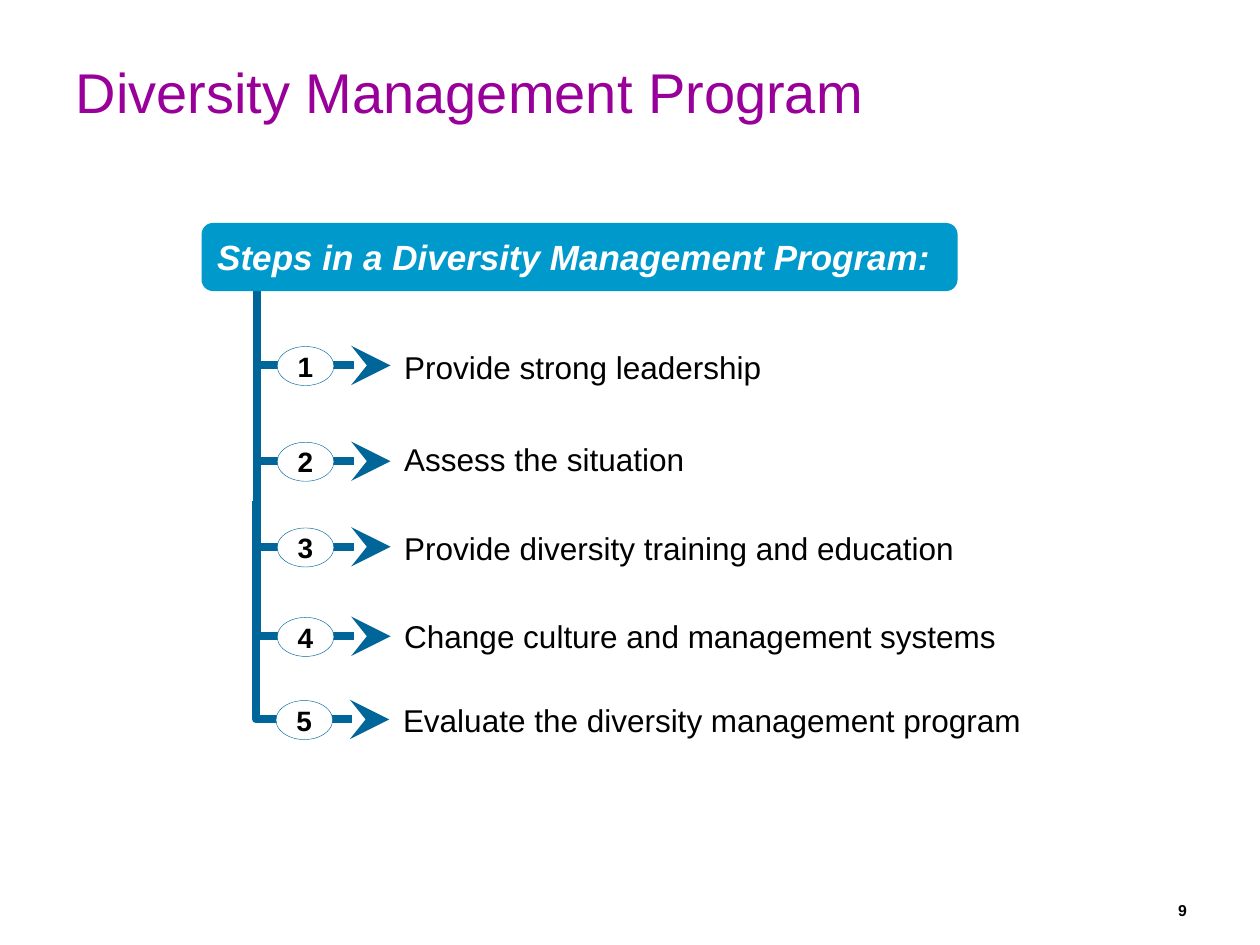
from dataclasses import dataclass

from lxml import etree
from pptx import Presentation
from pptx.dml.color import RGBColor
from pptx.enum.shapes import MSO_SHAPE
from pptx.enum.text import MSO_ANCHOR, PP_ALIGN
from pptx.oxml.ns import qn
from pptx.util import Inches, Pt

OVAL = MSO_SHAPE.OVAL
ROUNDED = MSO_SHAPE.ROUNDED_RECTANGLE
TOP, MIDDLE, BOTTOM = MSO_ANCHOR.TOP, MSO_ANCHOR.MIDDLE, MSO_ANCHOR.BOTTOM
LEFT, CENTER, RIGHT = PP_ALIGN.LEFT, PP_ALIGN.CENTER, PP_ALIGN.RIGHT


@dataclass(frozen=True)
class Theme:
    font: str = "Arial"
    purple: RGBColor = RGBColor(0x99, 0x00, 0x99)
    navy: RGBColor = RGBColor(0x00, 0x66, 0x99)
    sky: RGBColor = RGBColor(0x00, 0x99, 0xCC)
    white: RGBColor = RGBColor(0xFF, 0xFF, 0xFF)
    black: RGBColor = RGBColor(0x00, 0x00, 0x00)
    title_size: int = 32
    banner_size: int = 20
    step_size: int = 18
    number_size: int = 16
    page_size: int = 9


theme = Theme()


def write(shape, text, size, color, align=LEFT, anchor=MIDDLE, bold=False, italic=False, wrap=True):
    frame = shape.text_frame
    frame.text = text
    frame.word_wrap = wrap
    frame.vertical_anchor = anchor
    paragraph = frame.paragraphs[0]
    paragraph.alignment = align
    font = paragraph.runs[0].font
    font.name = theme.font
    font.size = Pt(size)
    font.color.rgb = color
    font.bold = bold
    font.italic = italic


deck = Presentation()
deck.slide_width = Inches(10)
deck.slide_height = Inches(7.5)
slide = deck.slides.add_slide(deck.slide_layouts[5])

title = slide.shapes.title
title.left, title.top = Inches(0.5), Inches(0.41)
title.width, title.height = Inches(8.98), Inches(0.64)
write(title, "Diversity Management Program", theme.title_size, theme.purple, anchor=TOP)

steps = [
    ("Provide strong leadership", 2.04, 1.91, 2.9, 2.91),
    ("Assess the situation", 2.04, 2.67, 3.66, 3.64),
    ("Provide diversity training and education", 2.04, 2.61, 4.34, 4.34),
    ("Change culture and management systems", 2.04, 3.31, 5.05, 5.04),
    ("Evaluate the diversity management program", 2.03, 3.98, 5.71, 5.71),
]

for number, (step, trunk_x, trunk_top, row_y, label_y) in enumerate(steps, start=1):
    branch = slide.shapes.add_group_shape()
    tip_x = trunk_x + 1.06
    pen = branch.shapes.build_freeform(Inches(trunk_x), Inches(trunk_top))
    pen.add_line_segments(
        [(Inches(trunk_x), Inches(row_y)), (Inches(tip_x), Inches(row_y))], close=False
    )
    elbow = pen.convert_to_shape()
    elbow.shadow.inherit = False
    elbow.fill.background()
    elbow.line.color.rgb = theme.navy
    elbow.line.width = Pt(4.5)
    etree.SubElement(
        elbow.line._get_or_add_ln(), qn("a:tailEnd"), type="stealth", w="lg", len="lg"
    )

    badge = branch.shapes.add_shape(
        OVAL, Inches(trunk_x + 0.16), Inches(row_y - 0.15), Inches(0.45), Inches(0.31)
    )
    badge.shadow.inherit = False
    badge.fill.solid()
    badge.fill.fore_color.rgb = theme.white
    badge.line.color.rgb = theme.navy
    badge.line.width = Pt(0.25)
    write(badge, str(number), theme.number_size, theme.black, CENTER, bold=True, wrap=False)

    label = slide.shapes.add_textbox(
        Inches(tip_x + 0.01), Inches(label_y - 0.23), Inches(5.19), Inches(0.47)
    )
    write(label, step, theme.step_size, theme.black)

banner = slide.shapes.add_shape(ROUNDED, Inches(1.6), Inches(1.77), Inches(6), Inches(0.54))
banner.shadow.inherit = False
banner.fill.solid()
banner.fill.fore_color.rgb = theme.sky
banner.line.fill.background()
write(
    banner, "Steps in a Diversity Management Program:", theme.banner_size, theme.white,
    bold=True, italic=True,
)

page_number = slide.shapes.add_textbox(Inches(7), Inches(6.95), Inches(2.42), Inches(0.4))
page_number.text_frame.margin_left = page_number.text_frame.margin_right = 0
write(page_number, "9", theme.page_size, theme.black, RIGHT, BOTTOM, bold=True)

deck.save("out.pptx")
